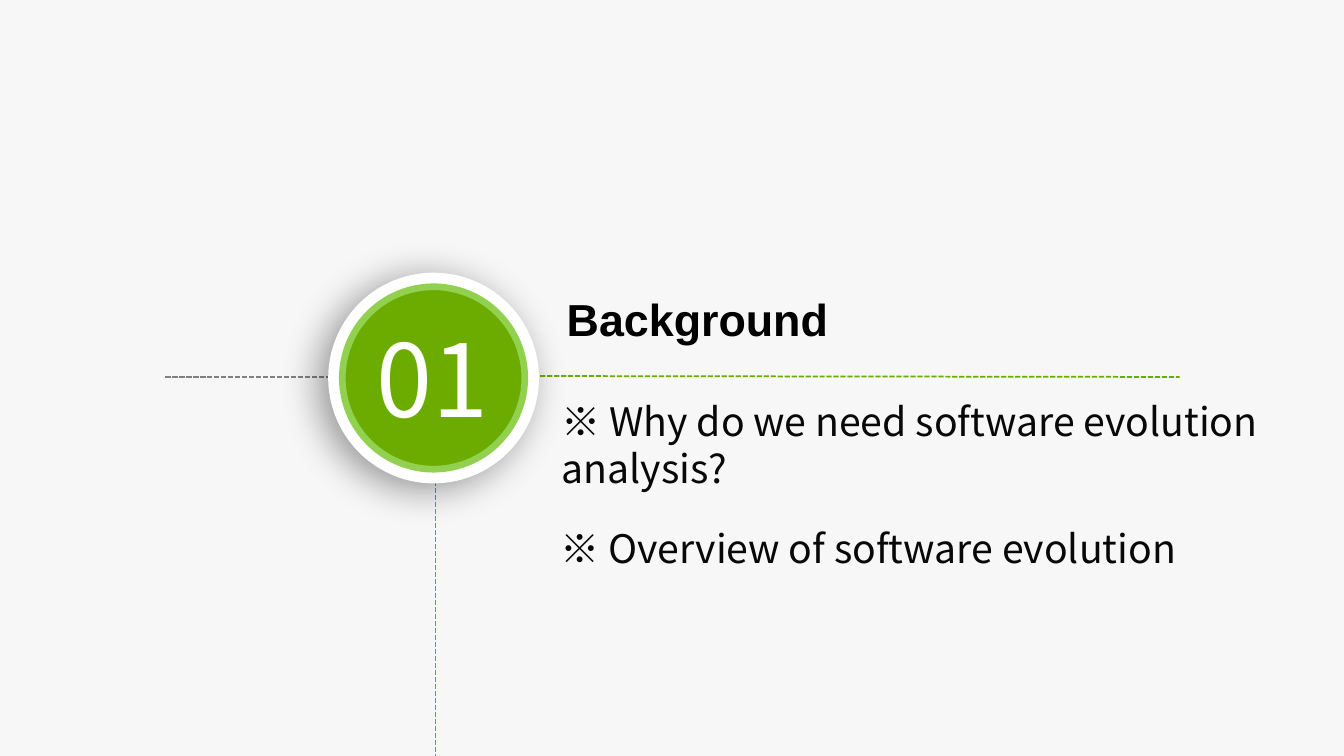
"""Build the section slide that opens part 01, Background."""
import pptx
import pptx.dml.color
import pptx.enum.dml
import pptx.enum.shapes
import pptx.enum.text
import pptx.oxml
import pptx.oxml.ns
import pptx.util
from pptx.util import Inches

COLORS = {"page": "F7F7F7", "green": "6CAC00", "lime": "92D050", "gray": "808080",
          "white": "FFFFFF", "black": "000000", "ink": "080808"}
MIDDLE = pptx.enum.text.MSO_ANCHOR.MIDDLE
TOP = pptx.enum.text.MSO_ANCHOR.TOP
LEFT = pptx.enum.text.PP_ALIGN.LEFT
CENTER = pptx.enum.text.PP_ALIGN.CENTER

RULES = [
    ((4.32, 4.22), (4.32, 7.5), "green"),
    ((5.01, 3.73), (11.7, 3.74), "green"),
    ((1.64, 3.74), (3.61, 3.74), "gray"),
]
BADGE_CENTER = (4.3, 3.75)
DISC_SIZE, BUTTON_SIZE = 2.09, 1.81
NUMBER = ("01", (3.65, 3.15, 1.28, 1.19), 0, MIDDLE, CENTER,
          {"size": 72, "name": "Noto Sans CJK JP", "bold": False}, "white")
TITLE = ("Background", (5.57, 2.86, 5.39, 0.6), 0.05, MIDDLE, LEFT,
         {"size": 32, "name": "Arial", "bold": True}, "black")
TOPIC_FONT = {"size": 28, "name": "Noto Sans CJK SC", "bold": False}
TOPICS = [
    ("※ Why do we need software evolution analysis?", (5.54, 3.91, 7.41, 1.01),
     0.03, TOP, LEFT, TOPIC_FONT, "ink"),
    ("※ Overview of software evolution", (5.53, 5.17, 6.94, 0.58),
     0.03, TOP, LEFT, TOPIC_FONT, "ink"),
]
SHADOW = """<a:effectLst %s><a:outerShdw blurRad="%d" dist="%d" dir="9000000"
algn="ctr" rotWithShape="0"><a:srgbClr val="%s"><a:alpha val="40000"/></a:srgbClr>
</a:outerShdw></a:effectLst>"""


def rgb(name):
    return pptx.dml.color.RGBColor.from_string(COLORS[name])


def add_rule(page, start, end, color):
    ends = [Inches(value) for value in start + end]
    rule = page.shapes.add_connector(pptx.enum.shapes.MSO_CONNECTOR.STRAIGHT, *ends)
    rule.line.width = pptx.util.Pt(1.25)
    rule.line.color.rgb = rgb(color)
    rule.line.dash_style = pptx.enum.dml.MSO_LINE.SQUARE_DOT
    properties = rule._element.spPr
    properties.append(pptx.oxml.parse_xml(
        "<a:effectLst %s/>" % pptx.oxml.ns.nsdecls("a")))


def add_circle(shapes, size, fill):
    corner = [Inches(middle - size / 2) for middle in BADGE_CENTER]
    circle = shapes.add_shape(pptx.enum.shapes.MSO_SHAPE.OVAL, *corner,
                              Inches(size), Inches(size))
    circle.shadow.inherit = False
    circle.fill.solid()
    circle.fill.fore_color.rgb = rgb(fill)
    circle.line.fill.background()
    return circle


def write(box, text, place, inset, anchor, align, font, color):
    for side, value in zip(("left", "top", "width", "height"), place):
        setattr(box, side, Inches(value))
    frame = box.text_frame
    layout = {"word_wrap": True, "vertical_anchor": anchor,
              "auto_size": pptx.enum.text.MSO_AUTO_SIZE.NONE}
    for side in ("left", "top", "right", "bottom"):
        layout["margin_" + side] = Inches(inset)
    for key, value in layout.items():
        setattr(frame, key, value)
    para = frame.paragraphs[0]
    for key, value in {"alignment": align, "line_spacing": 1.0,
                       "space_before": pptx.util.Pt(0)}.items():
        setattr(para, key, value)
    properties = para._p.get_or_add_pPr()
    properties.set("marL", "0")
    properties.set("indent", "0")
    properties.append(pptx.oxml.parse_xml(
        "<a:buNone %s/>" % pptx.oxml.ns.nsdecls("a")))
    span = para.add_run()
    span.text = text
    for key, value in font.items():
        setattr(span.font, key, pptx.util.Pt(value) if key == "size" else value)
    span.font.color.rgb = rgb(color)
    east_asian = pptx.oxml.parse_xml('<a:ea %s typeface="%s"/>' % (
        pptx.oxml.ns.nsdecls("a"), font["name"]))
    span._r.get_or_add_rPr().append(east_asian)


def add_badge(page):
    disc = add_circle(page.shapes, DISC_SIZE, "white")
    properties = disc._element.spPr
    properties.remove(properties.find(pptx.oxml.ns.qn("a:effectLst")))
    properties.append(pptx.oxml.parse_xml(SHADOW % (
        pptx.oxml.ns.nsdecls("a"), pptx.util.Pt(28), pptx.util.Pt(8), COLORS["black"])))
    button = page.shapes.add_group_shape()
    face = add_circle(button.shapes, BUTTON_SIZE, "green")
    face.line.color.rgb = rgb("lime")
    face.line.width = pptx.util.Pt(4.75)
    place = [Inches(value) for value in NUMBER[1]]
    write(button.shapes.add_textbox(*place), *NUMBER)


def main():
    deck = pptx.Presentation()
    deck.slide_width, deck.slide_height = Inches(13.33), Inches(7.5)
    page = deck.slides.add_slide(deck.slide_layouts.get_by_name("Two Content"))
    page.background.fill.solid()
    page.background.fill.fore_color.rgb = rgb("page")
    for rule in RULES:
        add_rule(page, *rule)
    add_badge(page)
    for box, content in zip(list(page.placeholders), [TITLE] + TOPICS):
        write(box, *content)
    deck.save("out.pptx")


if __name__ == "__main__":
    main()
